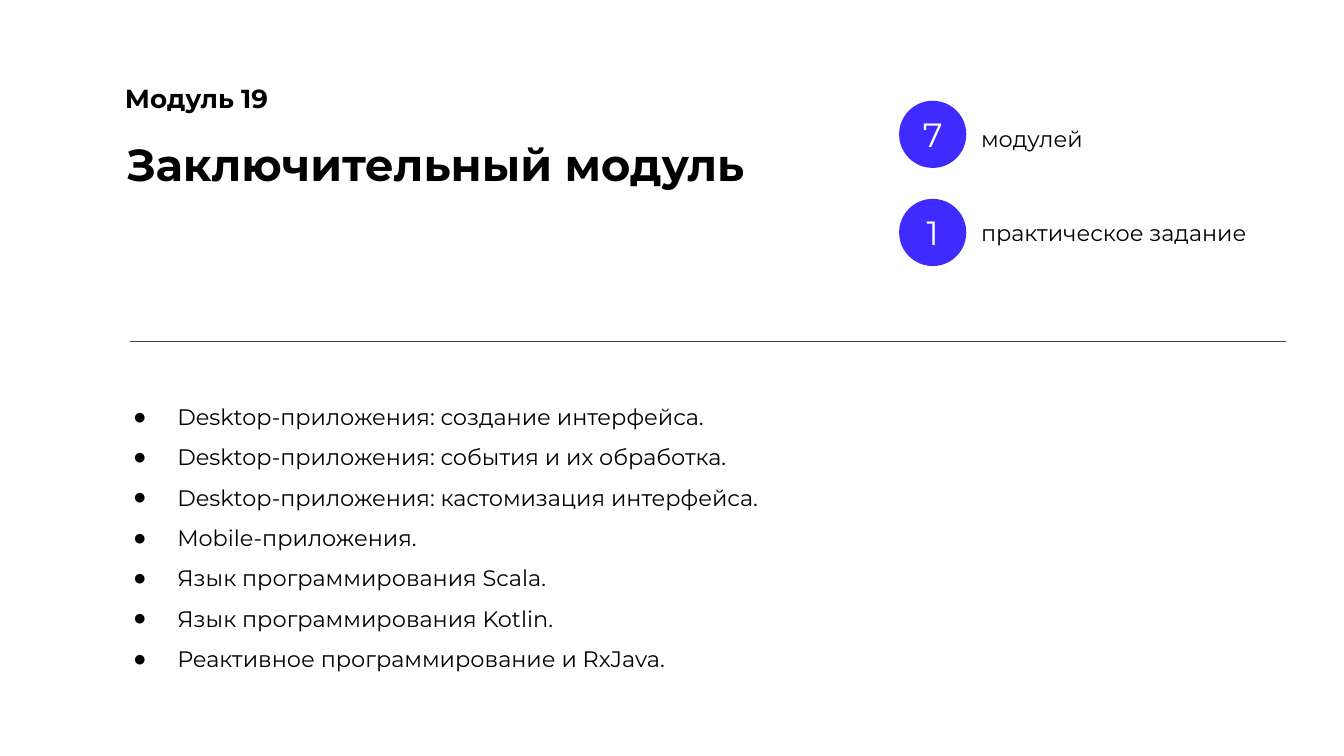
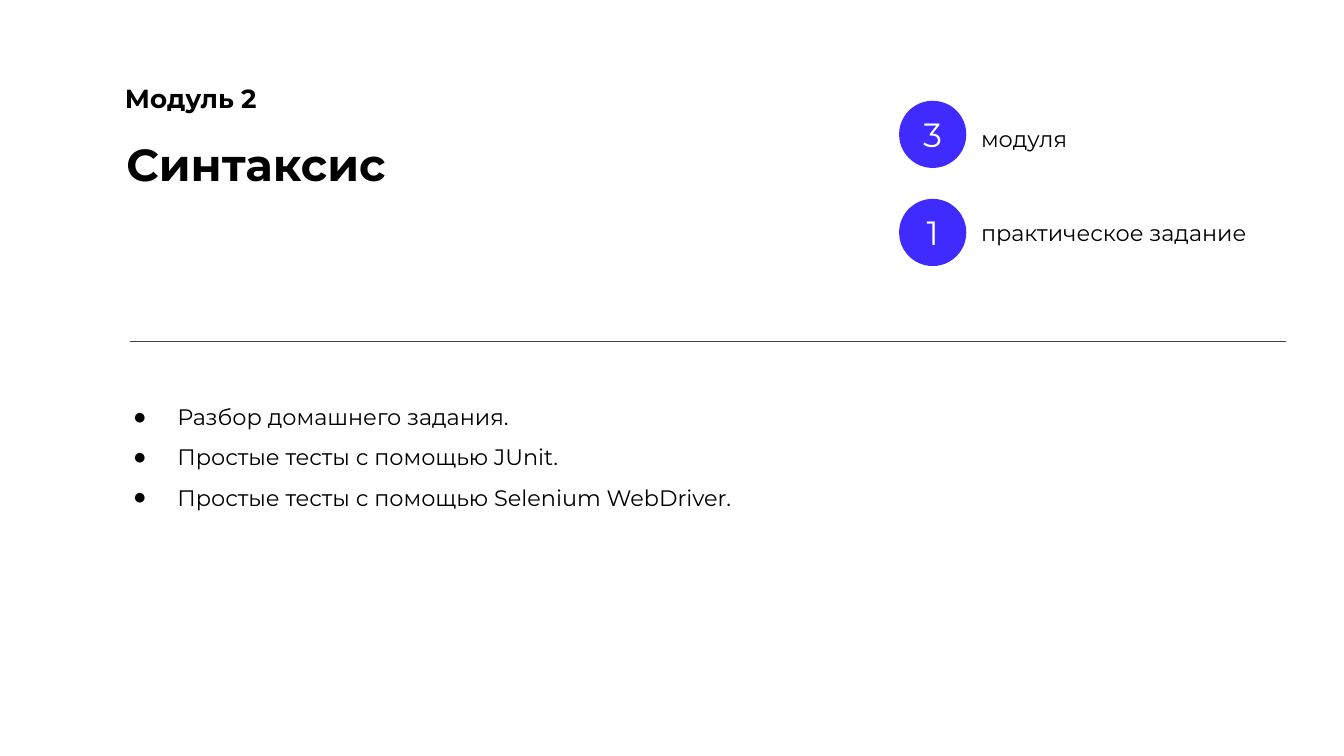
from dataclasses import dataclass

from lxml.etree import SubElement
from pptx import Presentation
from pptx.dml.color import RGBColor
from pptx.enum.shapes import MSO_CONNECTOR, MSO_SHAPE
from pptx.enum.text import MSO_ANCHOR, MSO_AUTO_SIZE, PP_ALIGN
from pptx.oxml.ns import qn
from pptx.slide import Slide
from pptx.text.text import TextFrame
from pptx.util import Inches, Pt

# Shared style
COLORS = {
    "background": "FFFFFF",
    "text": "000000",
    "badge": "3F2AFF",
    "badge_text": "FFFFFF",
    "rule": "434343",
}
FONT = "Montserrat"
BULLET_FONT = "Arial"
TITLE_ONLY_LAYOUT = 5
BADGE_LEFT, BADGE_TOP, BADGE_SIZE, BADGE_STEP = 6.69, 0.75, 0.5, 0.73
LABEL_LEFT, LABEL_WIDTH, LABEL_HEIGHT = 7.3, 2.3, 0.34
LABEL_TOPS = (0.9, 1.6)


@dataclass(frozen=True)
class TextStyle:
    size: float
    bold: bool = False
    color: str = "text"
    spacing: float = 1.15
    align: PP_ALIGN = PP_ALIGN.LEFT
    anchor: MSO_ANCHOR = MSO_ANCHOR.TOP


@dataclass(frozen=True)
class Count:
    number: str
    label: str


@dataclass(frozen=True)
class Module:
    name: str
    title: str
    counts: tuple[Count, ...]
    topics: tuple[str, ...]


NAME_STYLE = TextStyle(14, bold=True)
TITLE_STYLE = TextStyle(24, bold=True)
LABEL_STYLE = TextStyle(12)
TOPIC_STYLE = TextStyle(12, spacing=1.5)
BADGE_STYLE = TextStyle(18, color="badge_text", spacing=1,
                        align=PP_ALIGN.CENTER, anchor=MSO_ANCHOR.MIDDLE)

# Content
PRACTICE = Count("1", "практическое задание")
MODULES = (
    Module(
        "Модуль 19",
        "Заключительный модуль",
        (Count("7", "модулей"), PRACTICE),
        (
            "Desktop-приложения: создание интерфейса.",
            "Desktop-приложения: события и их обработка.",
            "Desktop-приложения: кастомизация интерфейса.",
            "Mobile-приложения.",
            "Язык программирования Scala.",
            "Язык программирования Kotlin.",
            "Реактивное программирование и RxJava.",
        ),
    ),
    Module(
        "Модуль 2",
        "Синтаксис",
        (Count("3", "модуля"), PRACTICE),
        (
            "Разбор домашнего задания.",
            "Простые тесты с помощью JUnit.",
            "Простые тесты с помощью Selenium WebDriver.",
        ),
    ),
)


def color(name: str) -> RGBColor:
    return RGBColor.from_string(COLORS[name])


def write(frame: TextFrame, text: str, style: TextStyle) -> None:
    """Fill a frame with text, one paragraph per line, and format it."""
    frame.text = text
    frame.word_wrap = True
    frame.auto_size = MSO_AUTO_SIZE.NONE
    frame.vertical_anchor = style.anchor
    frame.margin_left = frame.margin_right = Inches(0)
    frame.margin_top = frame.margin_bottom = Inches(0)
    for para in frame.paragraphs:
        para.alignment = style.align
        para.line_spacing = style.spacing
        for span in para.runs:
            span.font.name = FONT
            span.font.size = Pt(style.size)
            span.font.bold = style.bold
            span.font.color.rgb = color(style.color)


def add_text(page: Slide, left: float, top: float, width: float, height: float,
             text: str, style: TextStyle) -> TextFrame:
    box = page.shapes.add_textbox(Inches(left), Inches(top), Inches(width), Inches(height))
    write(box.text_frame, text, style)
    return box.text_frame


def place_title(page: Slide, text: str) -> None:
    title = page.shapes.title
    title.left, title.top = Inches(0.94), Inches(0.96)
    title.width, title.height = Inches(5.42), Inches(0.5)
    write(title.text_frame, text, TITLE_STYLE)


def add_count(page: Slide, row: int, count: Count) -> None:
    """Draw a numbered circle and the label beside it."""
    badge = page.shapes.add_shape(
        MSO_SHAPE.OVAL, Inches(BADGE_LEFT), Inches(BADGE_TOP + row * BADGE_STEP),
        Inches(BADGE_SIZE), Inches(BADGE_SIZE))
    badge.shadow.inherit = False
    badge.fill.solid()
    badge.fill.fore_color.rgb = color("badge")
    badge.line.fill.background()
    write(badge.text_frame, count.number, BADGE_STYLE)
    add_text(page, LABEL_LEFT, LABEL_TOPS[row], LABEL_WIDTH, LABEL_HEIGHT,
             count.label, LABEL_STYLE)


def add_rule(page: Slide) -> None:
    rule = page.shapes.add_connector(
        MSO_CONNECTOR.STRAIGHT, Inches(0.97), Inches(2.54), Inches(9.57), Inches(2.54))
    rule.line.color.rgb = color("rule")
    rule.line.width = Pt(0.75)
    SubElement(rule.element.spPr, qn("a:effectLst"))


def add_topics(page: Slide, topics: tuple[str, ...]) -> None:
    frame = add_text(page, 0.82, 2.9, 7.37, 2.5, "\n".join(topics), TOPIC_STYLE)
    for para in frame.paragraphs:
        properties = para._p.get_or_add_pPr()
        properties.set("marL", str(Inches(0.5)))
        properties.set("indent", str(Inches(-0.33)))
        bullet_color = SubElement(properties, qn("a:buClr"))
        SubElement(bullet_color, qn("a:srgbClr"), val=COLORS["text"])
        SubElement(properties, qn("a:buFont"), typeface=BULLET_FONT)
        SubElement(properties, qn("a:buChar"), char="●")


def add_module(deck: Presentation, module: Module) -> None:
    page = deck.slides.add_slide(deck.slide_layouts[TITLE_ONLY_LAYOUT])
    page.background.fill.solid()
    page.background.fill.fore_color.rgb = color("background")

    # Heading
    add_text(page, 0.93, 0.58, 4.79, 0.28, module.name, NAME_STYLE)
    place_title(page, module.title)

    # Counts, divider and topics
    for row, count in enumerate(module.counts):
        add_count(page, row, count)
    add_rule(page)
    add_topics(page, module.topics)


def main() -> None:
    deck = Presentation()
    # Widescreen, 16:9
    deck.slide_width = Inches(10)
    deck.slide_height = Inches(10) * 9 // 16
    for module in MODULES:
        add_module(deck, module)
    deck.save("out.pptx")


if __name__ == "__main__":
    main()
